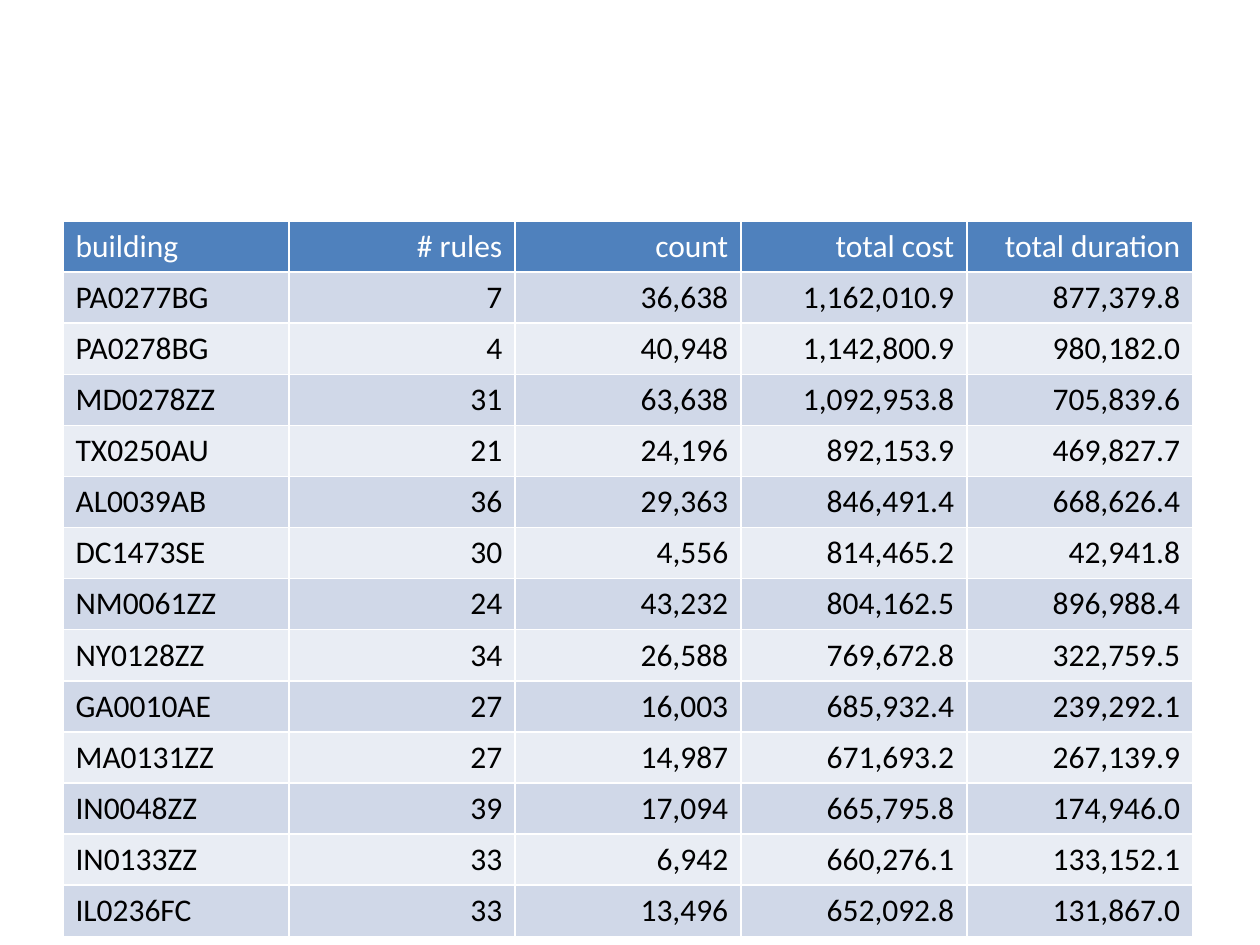
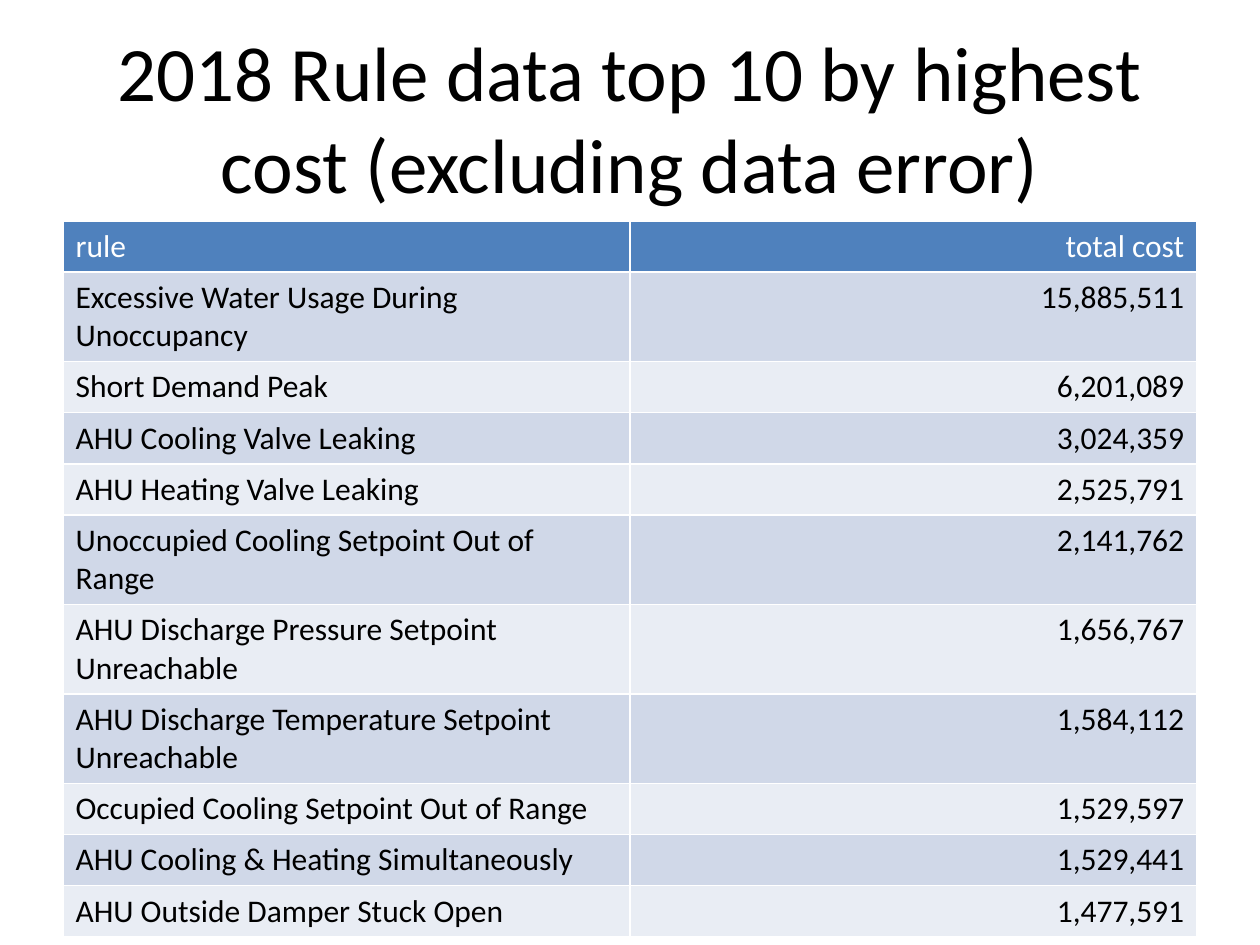
"""Build two slides of building and rule costs."""
import pptx
import pptx.util
import pptx.dml.color
import pptx.enum.text

PX = 914400 // 126
HUES = {"head": "4F81BD", "odd": "D0D8E8", "even": "E9EDF4", "white": "FFFFFF", "black": "000000"}
LEFT, TOP, ROW = 63, 221, 51
ALIGN = pptx.enum.text.PP_ALIGN


def style(para, size, hue, align):
    para.alignment = align
    look = {"name": "Calibri", "size": pptx.util.Pt(size), "bold": False}
    for key, val in look.items():
        setattr(para.font, key, val)
    para.font.color.rgb = pptx.dml.color.RGBColor.from_string(HUES[hue])


def grid(slide, rows, wide):
    count = len(rows[0])
    frame = slide.shapes.add_table(len(rows), count, LEFT * PX, TOP * PX,
                                   wide * count * PX, ROW * len(rows) * PX)
    table = frame.table
    for col in table.columns:
        col.width = wide * PX
    for r, row in enumerate(rows):
        table.rows[r].height = ROW * PX
        fill = "head" if r == 0 else "odd" if r % 2 else "even"
        for c, text in enumerate(row):
            cell = table.cell(r, c)
            cell.text = text
            cell.fill.solid()
            cell.fill.fore_color.rgb = pptx.dml.color.RGBColor.from_string(HUES[fill])
            style(cell.text_frame.paragraphs[0], 18, "black" if r else "white",
                  ALIGN.RIGHT if c else ALIGN.LEFT)


deck = pptx.Presentation()
deck.slide_width, deck.slide_height = 1260 * PX, 945 * PX

sites = [
    ("building", "# rules", "count", "total cost", "total duration"),
    ("PA0277BG", "7", "36,638", "1,162,010.9", "877,379.8"),
    ("PA0278BG", "4", "40,948", "1,142,800.9", "980,182.0"),
    ("MD0278ZZ", "31", "63,638", "1,092,953.8", "705,839.6"),
    ("TX0250AU", "21", "24,196", "892,153.9", "469,827.7"),
    ("AL0039AB", "36", "29,363", "846,491.4", "668,626.4"),
    ("DC1473SE", "30", "4,556", "814,465.2", "42,941.8"),
    ("NM0061ZZ", "24", "43,232", "804,162.5", "896,988.4"),
    ("NY0128ZZ", "34", "26,588", "769,672.8", "322,759.5"),
    ("GA0010AE", "27", "16,003", "685,932.4", "239,292.1"),
    ("MA0131ZZ", "27", "14,987", "671,693.2", "267,139.9"),
    ("IN0048ZZ", "39", "17,094", "665,795.8", "174,946.0"),
    ("IN0133ZZ", "33", "6,942", "660,276.1", "133,152.1"),
    ("IL0236FC", "33", "13,496", "652,092.8", "131,867.0"),
]
slide = deck.slides.add_slide(deck.slide_layouts[6])
grid(slide, sites, 226)

rules = [
    ("rule", "total cost"),
    ("Excessive Water Usage During Unoccupancy", "15,885,511"),
    ("Short Demand Peak", "6,201,089"),
    ("AHU Cooling Valve Leaking", "3,024,359"),
    ("AHU Heating Valve Leaking", "2,525,791"),
    ("Unoccupied Cooling Setpoint Out of Range", "2,141,762"),
    ("AHU Discharge Pressure Setpoint Unreachable", "1,656,767"),
    ("AHU Discharge Temperature Setpoint Unreachable", "1,584,112"),
    ("Occupied Cooling Setpoint Out of Range", "1,529,597"),
    ("AHU Cooling & Heating Simultaneously", "1,529,441"),
    ("AHU Outside Damper Stuck Open", "1,477,591"),
]
slide = deck.slides.add_slide(deck.slide_layouts[5])
title = slide.shapes.title
place = {"left": LEFT, "top": 38, "width": 1134, "height": 158}
for key, val in place.items():
    setattr(title, key, val * PX)
body = title.text_frame
body.text = "2018 Rule data top 10 by highest cost (excluding data error)"
form = {"word_wrap": True, "auto_size": pptx.enum.text.MSO_AUTO_SIZE.NONE,
        "vertical_anchor": pptx.enum.text.MSO_ANCHOR.MIDDLE}
for key, val in form.items():
    setattr(body, key, val)
style(body.paragraphs[0], 44, "black", ALIGN.CENTER)
grid(slide, rules, 567)

deck.save("out.pptx")
